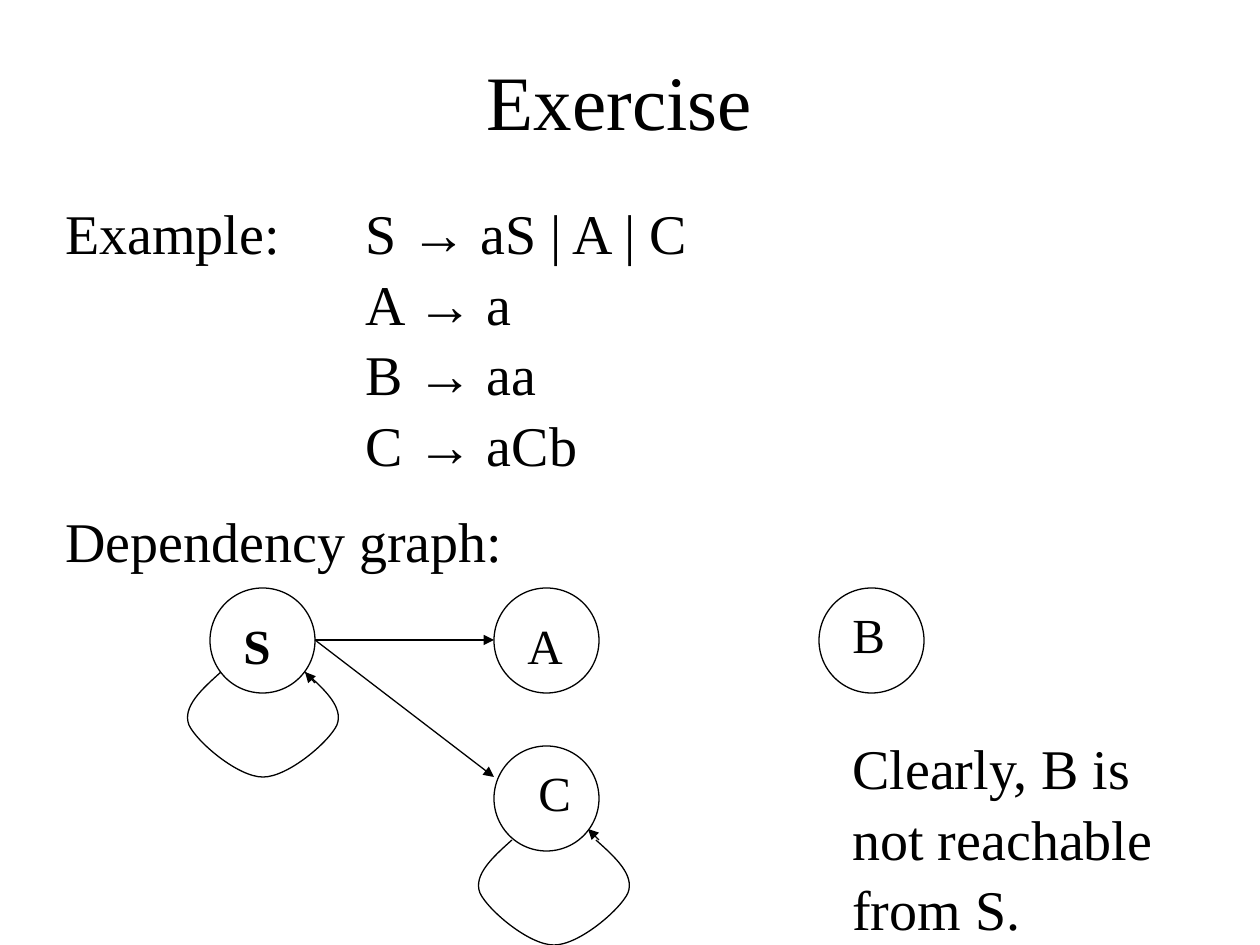
from lxml import etree
from pptx import Presentation
from pptx import util as u
from pptx.dml import color
from pptx.enum import shapes, text
from pptx.oxml import ns

PX = 914400 / 126
COLORS = {"ink": "000000"}
SERIF, SANS = "Times New Roman", "Arial"
NODE = 105
LOOP_HALF = [(0, 0), (-19, 17), (-39, 35), (-32, 53), (-24, 70), (17, 105), (42, 105)]
LOOP = LOOP_HALF + [(84 - x, y) for x, y in reversed(LOOP_HALF[:-1])]


def emu(px):
    return u.Emu(round(px * PX))


class Sketch:
    """Holds the drawing style and the current slide."""

    def __init__(self, prs):
        self.s = prs.slides.add_slide(prs.slide_layouts[6])
        self.ink = color.RGBColor.from_string(COLORS["ink"])

    def text(self, box, lines, size, bold=False, align=text.PP_ALIGN.LEFT,
             anchor=text.MSO_ANCHOR.TOP, tab=None, spacing=None):
        tf = self.s.shapes.add_textbox(*map(emu, box)).text_frame
        tf.word_wrap = True
        tf.vertical_anchor = anchor
        for i, line in enumerate(lines):
            p = tf.add_paragraph() if i else tf.paragraphs[0]
            p.alignment = align
            if spacing:
                p.line_spacing = spacing
            if tab:
                tabs = etree.SubElement(p._p.get_or_add_pPr(), ns.qn("a:tabLst"))
                etree.SubElement(tabs, ns.qn("a:tab"), pos=str(emu(tab)), algn="l")
            before, arrow, after = line.partition("→")
            for part in filter(None, (before, arrow, after)):
                r = p.add_run()
                r.text = part
                r.font.name = SANS if part == "→" else SERIF
                r.font.size = u.Pt(size)
                r.font.bold = bold
                r.font.color.rgb = self.ink
        return tf

    def outline(self, sp):
        sp.line.color.rgb = self.ink
        sp.line.width = u.Pt(0.75)

    def node(self, x, y, label, dx, dy, bold=False):
        sp = self.s.shapes.add_shape(shapes.MSO_SHAPE.OVAL, *map(emu, (x, y, NODE, NODE)))
        sp.shadow.inherit = False
        sp.fill.background()
        self.outline(sp)
        self.text((x + dx, y + dy, 90, 79), [label], 28, bold)

    def arrow(self, x1, y1, x2, y2):
        sp = self.s.shapes.add_connector(
            shapes.MSO_CONNECTOR.STRAIGHT, *map(emu, (x1, y1, x2, y2)))
        self.outline(sp)
        etree.SubElement(sp.line._get_or_add_ln(), ns.qn("a:tailEnd"), type="triangle")
        etree.SubElement(sp._element.spPr, ns.qn("a:effectLst"))

    def loop(self, x, y):
        points = [(x + dx, y + dy) for dx, dy in LOOP]
        fb = self.s.shapes.build_freeform(*points[0], scale=PX)
        fb.add_line_segments(points[1:], close=False)
        sp = fb.convert_to_shape()
        sp.shadow.inherit = False
        sp.fill.background()
        self.outline(sp)
        path = sp._element.find(".//" + ns.qn("a:path"))
        segments = path.findall(ns.qn("a:lnTo"))
        for i in range(0, len(segments), 3):
            curve = etree.SubElement(path, ns.qn("a:cubicBezTo"))
            for segment in segments[i:i + 3]:
                curve.append(segment[0])
                path.remove(segment)


def main():
    prs = Presentation()
    prs.slide_width, prs.slide_height = emu(1260), emu(945)
    sk = Sketch(prs)
    sk.text((84, 21, 1071, 158), ["Exercise"], 44,
            align=text.PP_ALIGN.CENTER, anchor=text.MSO_ANCHOR.MIDDLE)
    tf = sk.text((53, 189, 1155, 714),
                 ["Example:\tS → aS | A | C", "\tA → a", "\tB → aa", "\tC → aCb",
                  "Dependency graph:"], 32, tab=300, spacing=1.05)
    tf.paragraphs[-1].space_before = u.Pt(15)
    sk.node(210, 588, "S", 21, 21, bold=True)
    sk.node(494, 588, "A", 21, 21)
    sk.node(494, 746, "C", 32, 10)
    sk.node(819, 588, "B", 21, 10)
    sk.loop(221, 672)
    sk.arrow(315, 683, 305, 672)
    sk.arrow(315, 640, 494, 640)
    sk.arrow(315, 640, 494, 777)
    sk.loop(512, 840)
    sk.arrow(599, 840, 588, 829)
    sk.text((840, 724, 378, 166), ["Clearly, B is not reachable from S."], 32, spacing=1.05)
    prs.save("out.pptx")


if __name__ == "__main__":
    main()
